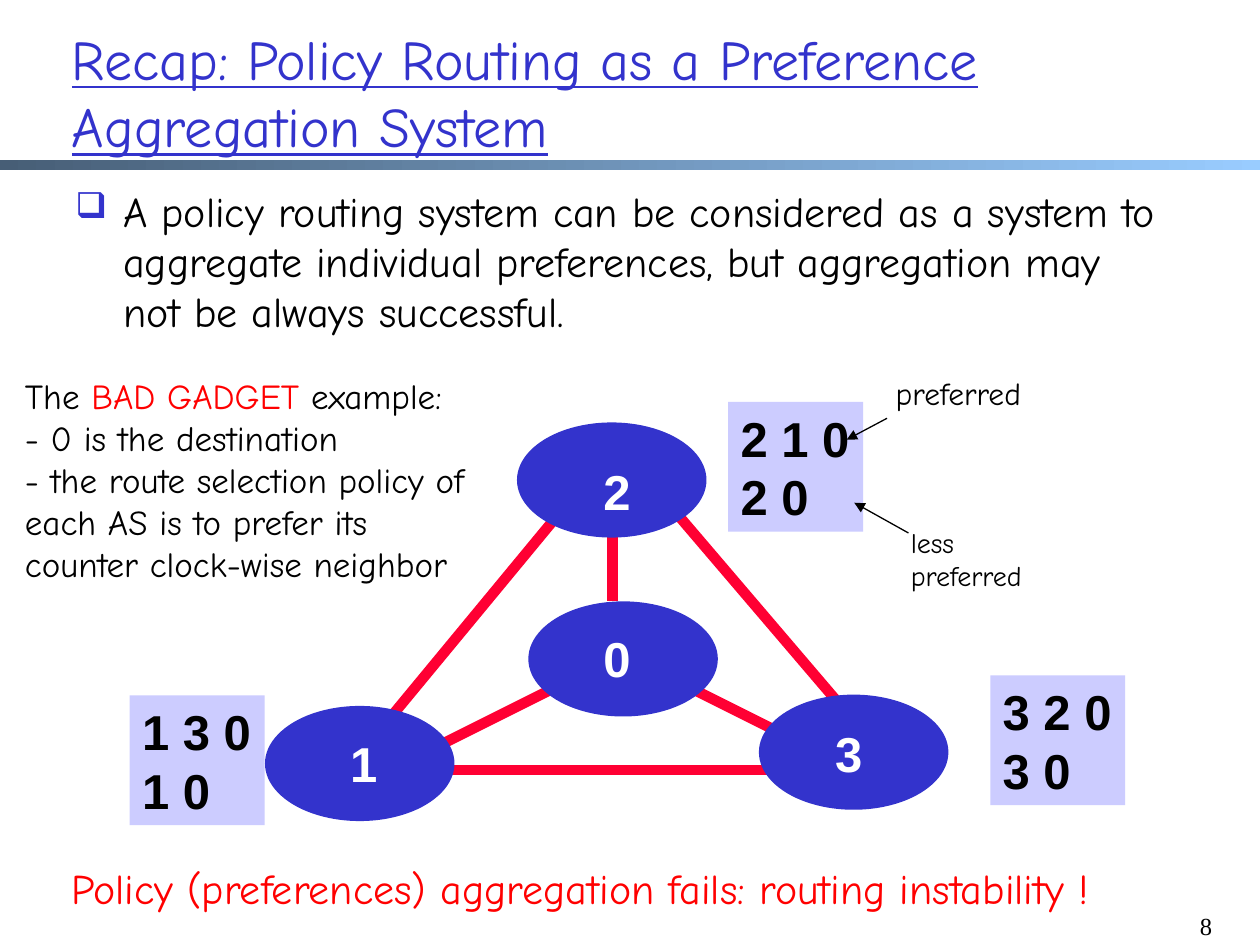
from lxml.etree import SubElement
from pptx import Presentation
from pptx.dml.color import RGBColor
from pptx.enum.shapes import MSO_CONNECTOR, MSO_SHAPE
from pptx.enum.text import MSO_ANCHOR, MSO_AUTO_SIZE, PP_ALIGN
from pptx.oxml.ns import qn
from pptx.util import Inches, Pt

HUE = {"blue": "3333CC", "pale": "CCCCFF", "link": "FF0033", "red": "FF0000",
       "black": "000000", "white": "FFFFFF", "dark": "475E76", "sky": "99CCFF"}
COMIC = "Comic Neue"
BOLD = {"name": "Arial", "size": Pt(28), "bold": True}


def rgb(hue):
    return RGBColor.from_string(HUE[hue])


def style(font, form, hue):
    for key, val in form.items():
        setattr(font, key, val)
    font.color.rgb = rgb(hue)


def write(frame, lines, form, hue="black", wrap=False):
    """Fill a frame; a line is a string or a list of (text, hue) runs."""
    frame.word_wrap = wrap
    frame.auto_size = MSO_AUTO_SIZE.NONE
    frame.vertical_anchor = MSO_ANCHOR.TOP
    for i, line in enumerate(lines):
        para = frame.add_paragraph() if i else frame.paragraphs[0]
        para.alignment = PP_ALIGN.LEFT
        for text, tint in [(line, hue)] if isinstance(line, str) else line:
            run = para.add_run()
            run.text = text
            style(run.font, form, tint)


def add_text(slide, at, lines, form, hue="black", wrap=False):
    box = slide.shapes.add_textbox(*map(Inches, at))
    write(box.text_frame, lines, form, hue, wrap)
    return box.text_frame


def add_form(slide, kind, at, hue):
    form = slide.shapes.add_shape(kind, *map(Inches, at))
    form.shadow.inherit = False
    form.fill.solid()
    form.fill.fore_color.rgb = rgb(hue)
    form.line.fill.background()
    return form


def add_line(slide, ends, hue, width, arrow=False):
    line = slide.shapes.add_connector(MSO_CONNECTOR.STRAIGHT, *map(Inches, ends))
    line.line.color.rgb = rgb(hue)
    line.line.width = Pt(width)
    if arrow:
        SubElement(line.line._get_or_add_ln(), qn("a:tailEnd"), type="triangle")
    SubElement(line._element.spPr, qn("a:effectLst"))


def add_node(slide, left, top, name, spot):
    node = add_form(slide, MSO_SHAPE.OVAL, (left, top, 1.49, 0.9), "blue")
    node.line.color.rgb = rgb("blue")
    node.line.width = Pt(1)
    add_text(slide, (*spot, 0.42, 0.57), [name], BOLD, "white")


def add_routes(slide, left, top, routes):
    card = add_form(slide, MSO_SHAPE.RECTANGLE, (left, top, 1.07, 1.03), "pale")
    write(card.text_frame, routes, BOLD)


def add_bar(slide):
    bar = add_form(slide, MSO_SHAPE.RECTANGLE, (0, 1.27, 10, 0.08), "dark")
    bar.fill.gradient()
    bar.fill.gradient_angle = 0
    for stop, hue, place in zip(bar.fill.gradient_stops, ("dark", "sky"), (0, 1)):
        stop.color.rgb = rgb(hue)
        stop.position = place


def add_title(slide, text):
    title = slide.shapes.title
    spot = {"left": 0.47, "top": 0.28, "width": 9.02, "height": 0.89}
    for key, val in spot.items():
        setattr(title, key, Inches(val))
    form = {"name": COMIC, "size": Pt(32), "underline": True}
    write(title.text_frame, [text], form, "blue", True)
    title.text_frame.vertical_anchor = MSO_ANCHOR.MIDDLE


def add_bullet(slide, at, text):
    frame = add_text(slide, at, [text], {"name": COMIC, "size": Pt(24)}, wrap=True)
    props = frame.paragraphs[0]._p.get_or_add_pPr()
    props.set("marL", str(Inches(0.38)))
    props.set("indent", str(-Inches(0.38)))
    tint = SubElement(props, qn("a:buClr"))
    SubElement(tint, qn("a:srgbClr"), val=HUE["blue"])
    SubElement(props, qn("a:buSzPct"), val="85000")
    SubElement(props, qn("a:buChar"), char="❑")


def main():
    deck = Presentation()
    deck.slide_width, deck.slide_height = Inches(10), Inches(7.5)
    slide = deck.slides.add_slide(deck.slide_layouts[5])

    # Heading and main point
    add_bar(slide)
    add_title(slide, "Recap: Policy Routing as a Preference Aggregation System")
    add_bullet(slide, (0.5, 1.42, 8.81, 1.4),
               "A policy routing system can be considered as a system to aggregate "
               "individual preferences, but aggregation may not be always successful.")

    # Links lie under the nodes
    for ends in ((7.03, 6.02, 5.11, 3.77), (4.69, 3.77, 2.69, 6.19),
                 (4.86, 3.52, 4.86, 4.77), (4.78, 5.27, 3.44, 5.94),
                 (6.44, 5.94, 5.44, 5.44), (7.19, 6.11, 2.69, 6.11)):
        add_line(slide, ends, "link", 6)

    # Nodes and their ranked routes
    for node in ((4.11, 3.36, "2", (4.69, 3.61)), (4.2, 4.78, "0", (4.69, 4.94)),
                 (6.03, 5.52, "3", (6.53, 5.69)), (2.11, 5.61, "1", (2.68, 5.77))):
        add_node(slide, *node)
    for card in ((5.78, 3.19, ("2 1 0", "2 0")), (1.03, 5.52, ("1 3 0", "1 0")),
                 (7.86, 5.36, ("3 2 0", "3 0"))):
        add_routes(slide, *card)

    # Ranking notes
    add_line(slide, (7.04, 3.32, 6.72, 3.49), "black", 0.75, True)
    add_text(slide, (7.01, 2.92, 1.38, 0.4), ["preferred"],
             {"name": COMIC, "size": Pt(18)})
    add_text(slide, (7.13, 4.12, 1.25, 0.64), ["less", "preferred"],
             {"name": COMIC, "size": Pt(16)})
    add_line(slide, (7.21, 4.23, 6.78, 3.99), "black", 0.75, True)

    # Example and conclusion
    intro = [("The ", "black"), ("BAD GADGET", "red"), (" example:", "black")]
    add_text(slide, (0.1, 2.92, 3.86, 1.77),
             [intro, "- 0 is the destination",
              "- the route selection policy of each AS is to prefer its "
              "counter clock-wise neighbor"],
             {"name": COMIC, "size": Pt(20)}, wrap=True)
    add_text(slide, (0.47, 6.8, 9.27, 0.5),
             ["Policy (preferences) aggregation fails: routing instability !"],
             {"name": COMIC, "size": Pt(24)}, "red")

    # Page number
    page = add_text(slide, (9.25, 7.18, 0.47, 0.32), ["8"],
                    {"name": "Times New Roman", "size": Pt(14)}, wrap=True)
    page.paragraphs[0].alignment = PP_ALIGN.RIGHT

    deck.save("out.pptx")


if __name__ == "__main__":
    main()
